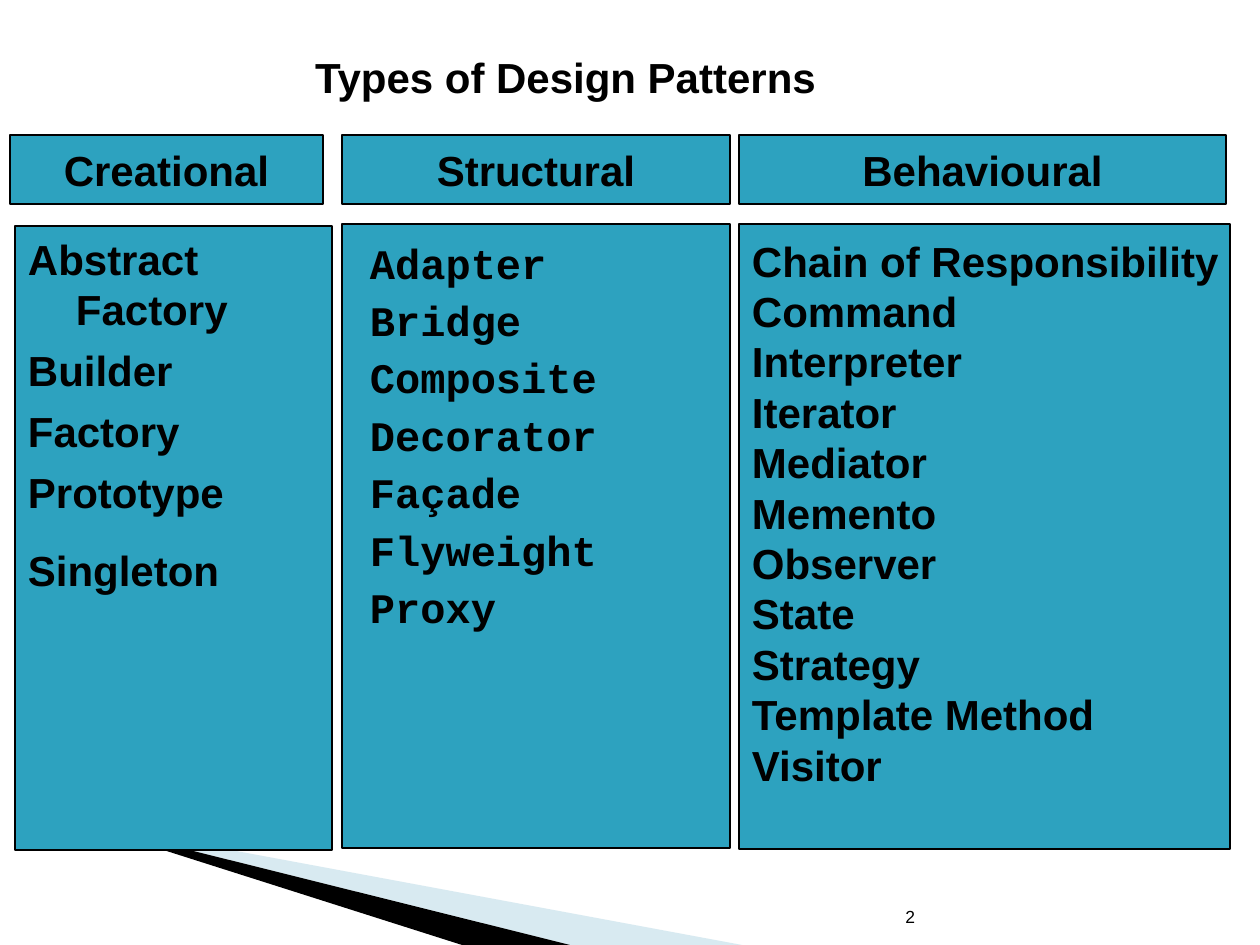
from dataclasses import dataclass
from typing import Any

from lxml.etree import SubElement
from pptx import Presentation
from pptx.dml.color import RGBColor
from pptx.enum.shapes import MSO_SHAPE
from pptx.enum.text import MSO_ANCHOR, PP_ALIGN
from pptx.oxml.ns import qn
from pptx.util import Emu, Pt

COLORS = {"panel": "2DA2BF", "ink": "000000", "sweep": "9FCBDC"}
SCALE = 914400 / 126


@dataclass(frozen=True)
class Box:
    """A rectangle in px."""

    x: int
    y: int
    w: int
    h: int


@dataclass(frozen=True)
class Column:
    """A family of patterns: its heading, its list and the list's format."""

    title: str
    head: Box
    body: Box
    items: tuple[str, ...]
    style: dict[str, Any]


@dataclass(frozen=True)
class Sweep:
    """A triangle at the foot of the slide."""

    points: tuple[tuple[int, int], ...]
    color: str
    opacity: int


COLUMNS = (
    Column("Creational", Box(10, 135, 313, 69), Box(15, 226, 317, 624),
           ("Abstract Factory", "Builder", "Factory", "Prototype", "Singleton"),
           {"top": 7, "left": 48, "indent": -48, "before": 6, "last_before": 16}),
    Column("Structural", Box(342, 135, 388, 69), Box(342, 224, 388, 624),
           ("Adapter", "Bridge", "Composite", "Decorator", "Façade", "Flyweight", "Proxy"),
           {"font": "Courier New", "top": 13, "left": 50, "indent": -35, "before": 4}),
    Column("Behavioural", Box(739, 135, 487, 69), Box(739, 224, 491, 625),
           ("Chain of Responsibility", "Command", "Interpreter", "Iterator", "Mediator",
            "Memento", "Observer", "State", "Strategy", "Template Method", "Visitor"),
           {"top": 11, "wrap": False}),
)
SWEEPS = (
    Sweep(((69, 820), (742, 945), (570, 945)), "sweep", 40),
    Sweep(((69, 820), (570, 945), (462, 945)), "ink", 100),
)


def px(n: int) -> Emu:
    """Turn px into EMU."""
    return Emu(round(n * SCALE))


def rgb(name: str) -> RGBColor:
    """Look up a named colour."""
    return RGBColor.from_string(COLORS[name])


def write(sp: Any, *lines: str, font: str = "Arial", size: int = 24, bold: bool = True,
          align: PP_ALIGN = PP_ALIGN.LEFT, anchor: MSO_ANCHOR = MSO_ANCHOR.TOP,
          wrap: bool = True, top: int = 6, left: int = 0, indent: int = 0,
          before: int = 0, last_before: int = 0) -> None:
    """Write one paragraph per line into a shape."""
    tf = sp.text_frame
    tf.word_wrap, tf.vertical_anchor = wrap, anchor
    tf.margin_left = tf.margin_right = px(13)
    tf.margin_top, tf.margin_bottom = px(top), px(6)
    for i, line in enumerate(lines):
        p = tf.paragraphs[0] if i == 0 else tf.add_paragraph()
        p.alignment, p.line_spacing = align, Pt(size * 1.2)
        if i:
            last = i == len(lines) - 1
            p.space_before = Pt(last_before if last and last_before else before)
        pPr = p._p.get_or_add_pPr()
        pPr.set("marL", str(px(left)))
        pPr.set("indent", str(px(indent)))
        r = p.add_run()
        r.text = line
        r.font.name, r.font.size, r.font.bold = font, Pt(size), bold
        r.font.color.rgb = rgb("ink")


def add_panel(s: Any, box: Box) -> Any:
    """Draw an outlined panel."""
    sp = s.shapes.add_shape(MSO_SHAPE.RECTANGLE, px(box.x), px(box.y), px(box.w), px(box.h))
    sp.shadow.inherit = False
    sp.fill.solid()
    sp.fill.fore_color.rgb = rgb("panel")
    sp.line.color.rgb = rgb("ink")
    sp.line.width = Pt(0.75)
    return sp


def add_label(s: Any, box: Box, text: str, **style: Any) -> None:
    """Add a text box with one line."""
    write(s.shapes.add_textbox(px(box.x), px(box.y), px(box.w), px(box.h)), text, **style)


def add_sweep(s: Any, sweep: Sweep) -> None:
    """Draw a triangle without outline."""
    start, *rest = sweep.points
    builder = s.shapes.build_freeform(*start, scale=SCALE)
    builder.add_line_segments(rest, close=True)
    sp = builder.convert_to_shape()
    sp.shadow.inherit = False
    sp.fill.solid()
    sp.fill.fore_color.rgb = rgb(sweep.color)
    sp.line.fill.background()
    if sweep.opacity < 100:
        color = sp._element.spPr.find(f"{qn('a:solidFill')}/{qn('a:srgbClr')}")
        SubElement(color, qn("a:alpha")).set("val", str(sweep.opacity * 1000))


def add_column(s: Any, column: Column) -> None:
    """Draw a heading and the list below it."""
    write(add_panel(s, column.body), *column.items, **column.style)
    write(add_panel(s, column.head), column.title, align=PP_ALIGN.CENTER,
          anchor=MSO_ANCHOR.MIDDLE, wrap=False)


def main() -> None:
    """Build the slide and save it."""
    prs = Presentation()
    prs.slide_width, prs.slide_height = px(1260), px(945)
    s = prs.slides.add_slide(prs.slide_layouts[6])
    for sweep in SWEEPS:
        add_sweep(s, sweep)
    add_label(s, Box(604, 883, 324, 50), "2", size=10, bold=False,
              align=PP_ALIGN.RIGHT, anchor=MSO_ANCHOR.BOTTOM)
    for column in COLUMNS:
        add_column(s, column)
    add_label(s, Box(302, 46, 635, 63), "Types of Design Patterns")
    prs.save("out.pptx")


if __name__ == "__main__":
    main()
